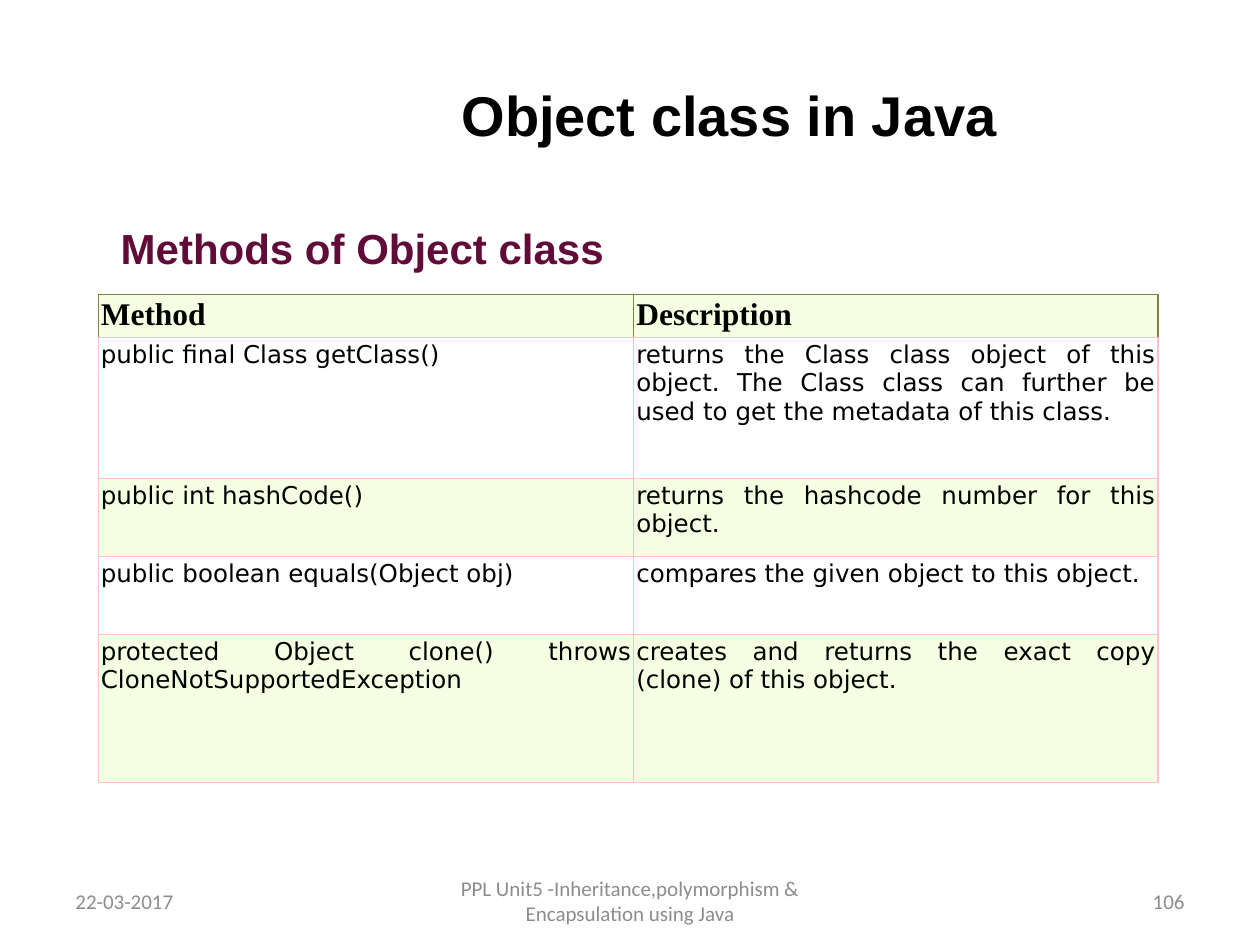
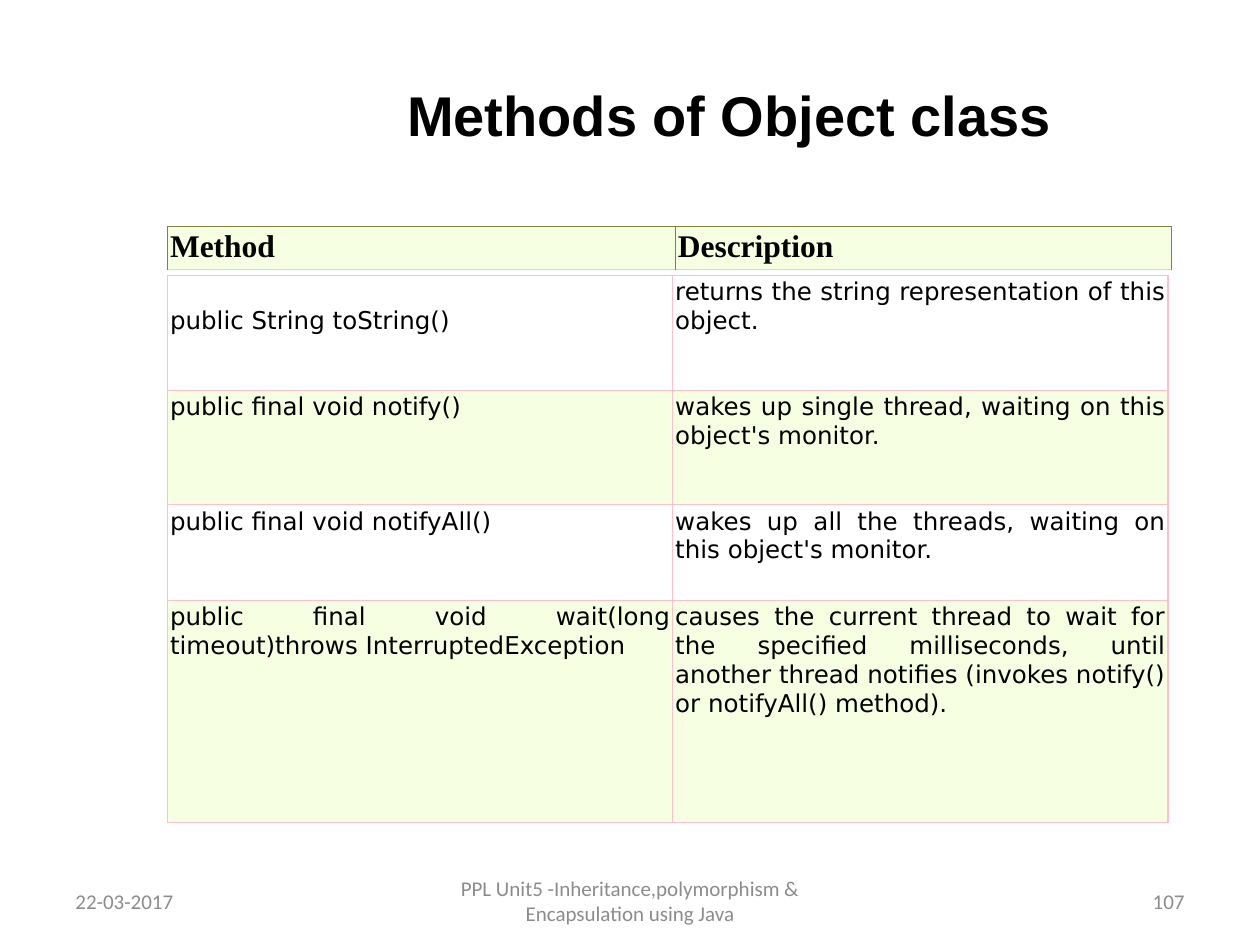
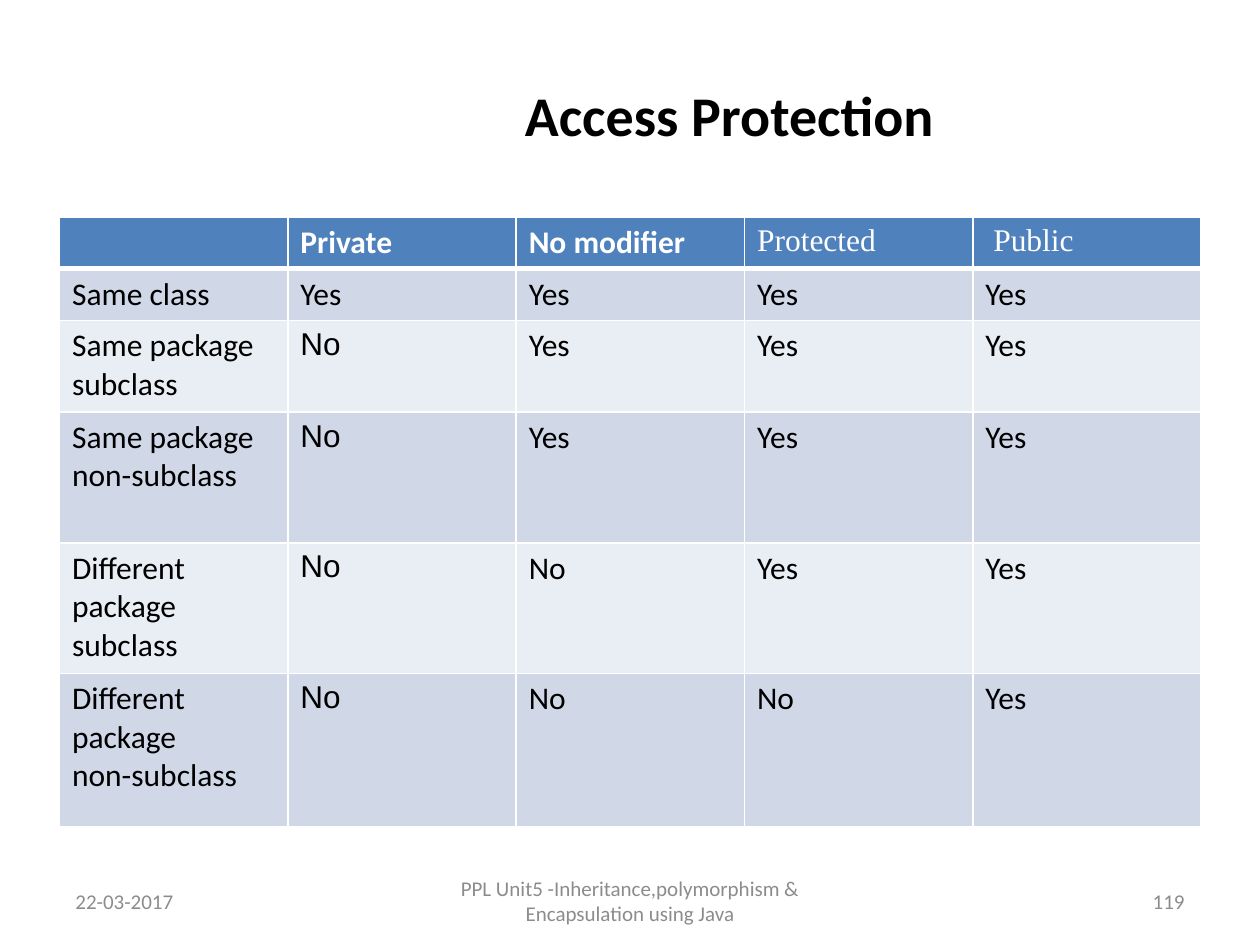
from lxml import etree
from pptx import Presentation
from pptx.dml.color import RGBColor
from pptx.enum.text import MSO_ANCHOR, MSO_AUTO_SIZE, PP_ALIGN
from pptx.oxml.ns import qn
from pptx.util import Pt

LEFT, CENTER, RIGHT, JUSTIFY = PP_ALIGN.LEFT, PP_ALIGN.CENTER, PP_ALIGN.RIGHT, PP_ALIGN.JUSTIFY
TOP, MIDDLE = MSO_ANCHOR.TOP, MSO_ANCHOR.MIDDLE
GROW = MSO_AUTO_SIZE.SHAPE_TO_FIT_TEXT
TITLE_ONLY = 5

COLOURS = {
    "black": "000000", "white": "FFFFFF", "grey": "8C8C8C", "plum": "610B38",
    "lime": "F6FFE1", "olive": "808140", "pink": "FFC0CB",
    "blue": "4F81BD", "blue_band": "D0D8E8", "pale_band": "E9EDF4",
}
FORMATS = {
    "title": {"name": "Arial", "size": Pt(32), "bold": True, "colour": "black"},
    "title_calibri": {"name": "Calibri", "size": Pt(32), "bold": True, "colour": "black"},
    "heading": {"name": "Arial", "size": Pt(24), "bold": True, "colour": "plum"},
    "footer": {"name": "Calibri", "size": Pt(12), "bold": False, "colour": "grey"},
    "method_header": {"name": "Times New Roman", "size": Pt(18), "bold": True, "colour": "black"},
    "method_body": {"name": "DejaVu Sans", "size": Pt(14), "bold": False, "colour": "black"},
    "access_header": {"name": "Calibri", "size": Pt(18), "bold": True, "colour": "white"},
    "access_header_serif": {"name": "Times New Roman", "size": Pt(18), "bold": False, "colour": "white"},
    "access_body": {"name": "Calibri", "size": Pt(18), "bold": False, "colour": "black"},
    "access_private_no": {"name": "Arial", "size": Pt(18), "bold": False, "colour": "black"},
}
# Each side of a cell: colour and line width in points
PINK_BORDERS = dict.fromkeys("LRTB", ("pink", 0.75))
OLIVE_BORDERS = {**dict.fromkeys("LRT", ("olive", 0.75)), "B": ("pink", 0.75)}
WHITE_BORDERS = dict.fromkeys("LRTB", ("white", 1))
WHITE_HEADER_BORDERS = {**WHITE_BORDERS, "B": ("white", 3)}

METHOD_INSET = 1.44
METHOD_HEADER = ["Method", "Description"]
FOOTER_TOP, FOOTER_HEIGHT = 500.5, 28.75
FOOTER_TEXT = "PPL Unit5 -Inheritance,polymorphism & Encapsulation using Java"

BASIC_METHODS = [
    ["public final Class getClass()",
     "returns the Class class object of this object. The Class class can further be used "
     "to get the metadata of this class."],
    ["public int hashCode()", "returns the hashcode number for this object."],
    ["public boolean equals(Object obj)", "compares the given object to this object."],
    ["protected Object clone() throws CloneNotSupportedException",
     "creates and returns the exact copy (clone) of this object."],
]
THREAD_METHODS = [
    ["public String toString()", "returns the string representation of this object."],
    ["public final void notify()", "wakes up single thread, waiting on this object's monitor."],
    ["public final void notifyAll()", "wakes up all the threads, waiting on this object's monitor."],
    ["public final void wait(long timeout)throws InterruptedException",
     "causes the current thread to wait for the specified milliseconds, until another thread "
     "notifies (invokes notify() or notifyAll() method)."],
]
ACCESS_RULES = [
    ["", "Private", "No modifier", "Protected", "Public"],
    ["Same class", "Yes", "Yes", "Yes", "Yes"],
    ["Same package\nsubclass", "No", "Yes", "Yes", "Yes"],
    ["Same package\nnon-subclass", "No", "Yes", "Yes", "Yes"],
    ["Different\npackage\nsubclass", "No", "No", "Yes", "Yes"],
    ["Different\npackage\nnon-subclass", "No", "No", "No", "Yes"],
]


class Deck:
    def __init__(self):
        self.deck = Presentation()
        self.deck.slide_width, self.deck.slide_height = Pt(720), Pt(540)
        self.page = None

    def set_text(self, frame, text, style, align=LEFT, anchor=TOP):
        frame.text = text
        frame.word_wrap = True
        frame.vertical_anchor = anchor
        for para in frame.paragraphs:
            para.alignment = align
            for span in para.runs:
                for key, value in FORMATS[style].items():
                    if key == "colour":
                        span.font.color.rgb = RGBColor.from_string(COLOURS[value])
                    else:
                        setattr(span.font, key, value)

    def add_page(self, title, number, style="title"):
        """Start a slide with its title and the shared footer."""
        self.page = self.deck.slides.add_slide(self.deck.slide_layouts[TITLE_ONLY])
        box = self.page.shapes.title
        box.left, box.top, box.width, box.height = Pt(150.5), Pt(20.25), Pt(532.75), Pt(90)
        self.set_text(box.text_frame, title, style, CENTER, MIDDLE)
        for left, width, text, align in [(36, 168, "22-03-2017", LEFT),
                                         (246, 228, FOOTER_TEXT, CENTER),
                                         (516, 168, str(number), RIGHT)]:
            self.add_text(left, FOOTER_TOP, width, FOOTER_HEIGHT, text, "footer", align, MIDDLE)

    def add_text(self, left, top, width, height, text, style, align=LEFT, anchor=TOP):
        box = self.page.shapes.add_textbox(Pt(left), Pt(top), Pt(width), Pt(height))
        self.set_text(box.text_frame, text, style, align, anchor)
        return box

    def add_table(self, left, top, columns, heights):
        """Add a table without style flags, with the given column widths and row heights."""
        table = self.page.shapes.add_table(len(heights), len(columns), Pt(left), Pt(top),
                                           Pt(sum(columns)), Pt(sum(heights))).table
        table.first_row = table.horz_banding = False
        for column, width in zip(table.columns, columns):
            column.width = Pt(width)
        for row, height in zip(table.rows, heights):
            row.height = Pt(height)
        return table

    def fill_cell(self, cell, text, style, fill, borders, align=LEFT, inset=None):
        self.set_text(cell.text_frame, text, style, align)
        if inset is not None:
            for side in ("left", "right", "top", "bottom"):
                setattr(cell, f"margin_{side}", Pt(inset))
        properties = cell._tc.get_or_add_tcPr()
        for side, (colour, width) in borders.items():
            line = etree.SubElement(properties, qn(f"a:ln{side}"), w=str(Pt(width)))
            solid = etree.SubElement(line, qn("a:solidFill"))
            etree.SubElement(solid, qn("a:srgbClr"), val=COLOURS[colour])
        cell.fill.solid()
        cell.fill.fore_color.rgb = RGBColor.from_string(COLOURS[fill])

    def fill_method_header(self, table):
        for column, text in enumerate(METHOD_HEADER):
            self.fill_cell(table.cell(0, column), text, "method_header", "lime",
                           OLIVE_BORDERS, inset=METHOD_INSET)

    def fill_methods(self, table, methods, first_row):
        for index, texts in enumerate(methods):
            fill = "lime" if index % 2 else "white"
            for column, text in enumerate(texts):
                self.fill_cell(table.cell(first_row + index, column), text, "method_body",
                               fill, PINK_BORDERS, JUSTIFY, METHOD_INSET)

    def fill_access(self, table):
        for row, texts in enumerate(ACCESS_RULES):
            for column, text in enumerate(texts):
                if row == 0:
                    style = "access_header_serif" if column > 2 else "access_header"
                    fill, borders = "blue", WHITE_HEADER_BORDERS
                else:
                    style = "access_private_no" if column == 1 and text == "No" else "access_body"
                    fill, borders = "blue_band" if row % 2 else "pale_band", WHITE_BORDERS
                self.fill_cell(table.cell(row, column), text, style, fill, borders)


def main():
    deck = Deck()

    deck.add_page("Object class in Java", 106)
    table = deck.add_table(56.2, 168.5, [306, 299.5], [22.3, 80.6, 44.6, 44.6, 84.2])
    deck.fill_method_header(table)
    deck.fill_methods(table, BASIC_METHODS, first_row=1)
    heading = deck.add_text(61.9, 123.8, 320.4, 36.7, "Methods of Object class", "heading", JUSTIFY)
    heading.text_frame.auto_size = GROW

    deck.add_page("Methods of Object class", 107)
    table = deck.add_table(95.75, 157.5, [288.7, 283], [65.5, 65.5, 54.7, 126.7])
    deck.fill_methods(table, THREAD_METHODS, first_row=0)
    table.cell(0, 0).margin_top = Pt(METHOD_INSET + 16.3)  # one line lower
    deck.fill_method_header(deck.add_table(95.75, 129.4, [290.2, 283.7], [22.3]))

    deck.add_page("Access Protection", 119, "title_calibri")
    table = deck.add_table(34, 124, [130.5] * 5, [29.6, 29.6, 52.4, 74.7, 74.7, 87.6])
    deck.fill_access(table)
    table.cell(0, 4).margin_left = Pt(11.7)

    deck.deck.save("out.pptx")


if __name__ == "__main__":
    main()
